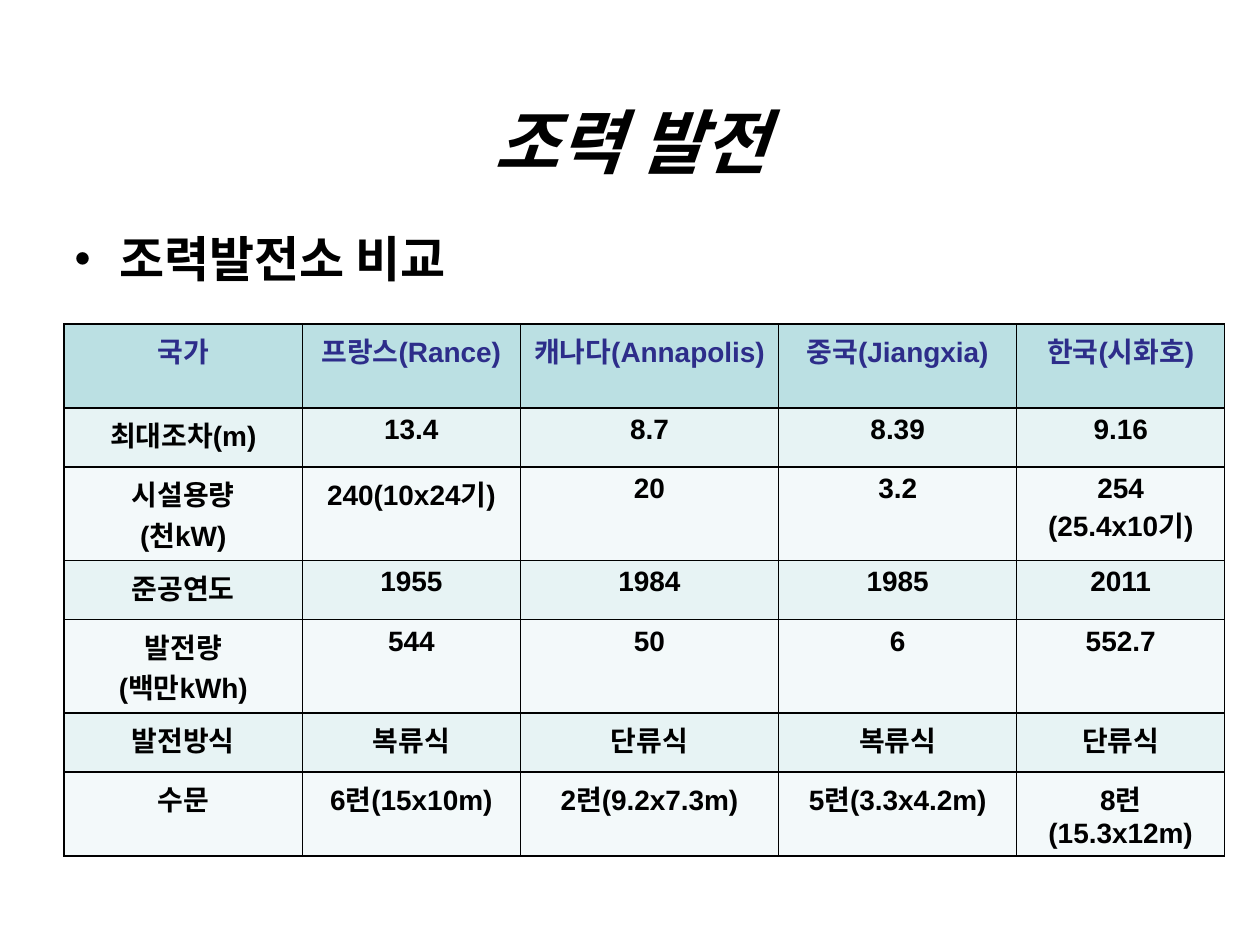
import pptx
import pptx.dml.color
import pptx.enum.text
import pptx.oxml
import pptx.oxml.ns
import pptx.util

BLACK = pptx.dml.color.RGBColor(0x00, 0x00, 0x00)
NAVY = pptx.dml.color.RGBColor(0x2D, 0x2D, 0x8A)
TEAL = pptx.dml.color.RGBColor(0xBB, 0xE0, 0xE3)
MIST = pptx.dml.color.RGBColor(0xE7, 0xF3, 0xF4)
PALE = pptx.dml.color.RGBColor(0xF3, 0xF9, 0xFA)

WIDTH, HEIGHT = 10, 7.5
TITLE_BOX = (0.51, 0.76, 9, 0.71)
HEADING_BOX = (0.37, 1.76, 3.7, 0.57)
TABLE_BOX = (0.51, 2.57, 9.21, 3.78)
COLUMNS = (1.89, 1.73, 2.05, 1.89, 1.65)
LINE_HEIGHTS = {1: 0.47, 2: 0.73}

PLANTS = (
    ("국가", "프랑스(Rance)", "캐나다(Annapolis)", "중국(Jiangxia)", "한국(시화호)"),
    ("최대조차(m)", "13.4", "8.7", "8.39", "9.16"),
    ("시설용량\n(천kW)", "240(10x24기)", "20", "3.2", "254\n(25.4x10기)"),
    ("준공연도", "1955", "1984", "1985", "2011"),
    ("발전량\n(백만kWh)", "544", "50", "6", "552.7"),
    ("발전방식", "복류식", "단류식", "복류식", "단류식"),
    ("수문", "6련(15x10m)", "2련(9.2x7.3m)", "5련(3.3x4.2m)", "8련(15.3x12m)"),
)


def to_lengths(box):
    """Turn a box in inches into lengths."""
    return [pptx.util.Inches(value) for value in box]


def write_text(frame, text, size, color=BLACK, italic=False, centered=True):
    """Fill a text frame with one bold paragraph per line of text."""
    align = pptx.enum.text.PP_ALIGN
    for index, line in enumerate(text.split("\n")):
        para = frame.add_paragraph() if index else frame.paragraphs[0]
        para.alignment = align.CENTER if centered else align.LEFT
        span = para.add_run()
        span.text = line
        span.font.name = "Arial"
        span.font.size = pptx.util.Pt(size)
        span.font.bold = True
        span.font.italic = italic
        span.font.color.rgb = color


def add_text(page, box, text, **style):
    """Place a wrapped, vertically centred text box."""
    frame = page.shapes.add_textbox(*to_lengths(box)).text_frame
    frame.word_wrap = True
    frame.vertical_anchor = pptx.enum.text.MSO_ANCHOR.MIDDLE
    write_text(frame, text, **style)


def add_borders(cell):
    """Draw a thin black line on each side of a cell."""
    properties = cell._tc.get_or_add_tcPr()
    for index, side in enumerate(("lnL", "lnR", "lnT", "lnB")):
        line = pptx.oxml.parse_xml(
            f'<a:{side} {pptx.oxml.ns.nsdecls("a")} w="{pptx.util.Pt(1)}">'
            f'<a:solidFill><a:srgbClr val="{BLACK}"/></a:solidFill></a:{side}>'
        )
        properties.insert(index, line)


def add_comparison(page, box):
    """Place the table of tidal power plants in its box."""
    frame = page.shapes.add_table(len(PLANTS), len(COLUMNS), *to_lengths(box))
    table = frame.table
    for column, share in zip(table.columns, COLUMNS):
        column.width = pptx.util.Inches(box[2] * share / sum(COLUMNS))
    for number, (row, texts) in enumerate(zip(table.rows, PLANTS)):
        lines = max(text.count("\n") + 1 for text in texts)
        row.height = pptx.util.Inches(LINE_HEIGHTS[lines])
        fill = (MIST if number % 2 else PALE) if number else TEAL
        for cell, text in zip(row.cells, texts):
            cell.fill.solid()
            cell.fill.fore_color.rgb = fill
            add_borders(cell)
            write_text(cell.text_frame, text, size=16, color=BLACK if number else NAVY)


def main():
    """Build the slide and save it."""
    deck = pptx.Presentation()
    deck.slide_width, deck.slide_height = to_lengths((WIDTH, HEIGHT))
    page = deck.slides.add_slide(deck.slide_layouts[6])
    add_comparison(page, TABLE_BOX)
    add_text(page, HEADING_BOX, "• 조력발전소 비교", size=28, centered=False)
    add_text(page, TITLE_BOX, "조력 발전", size=40, italic=True)
    deck.save("out.pptx")


if __name__ == "__main__":
    main()
